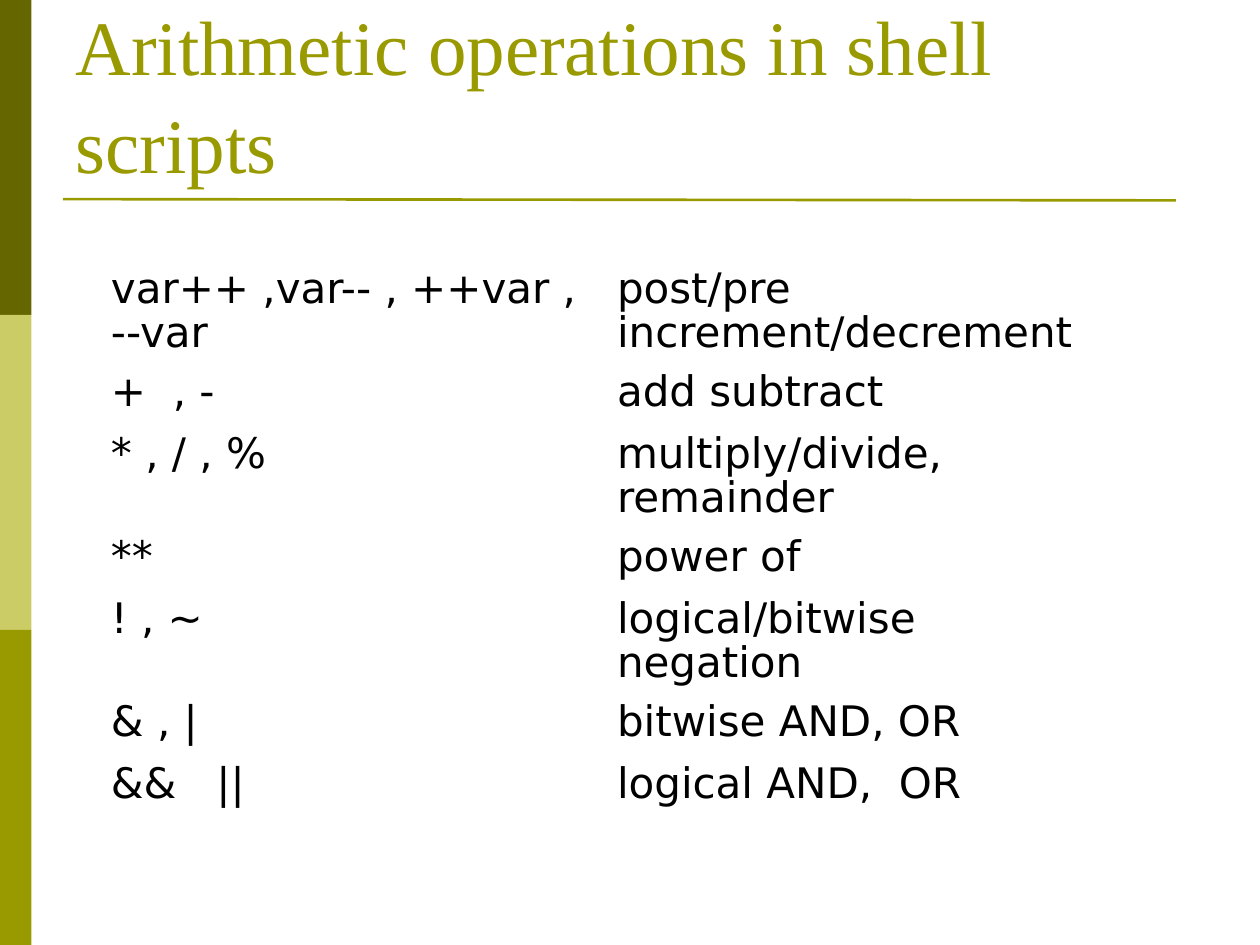
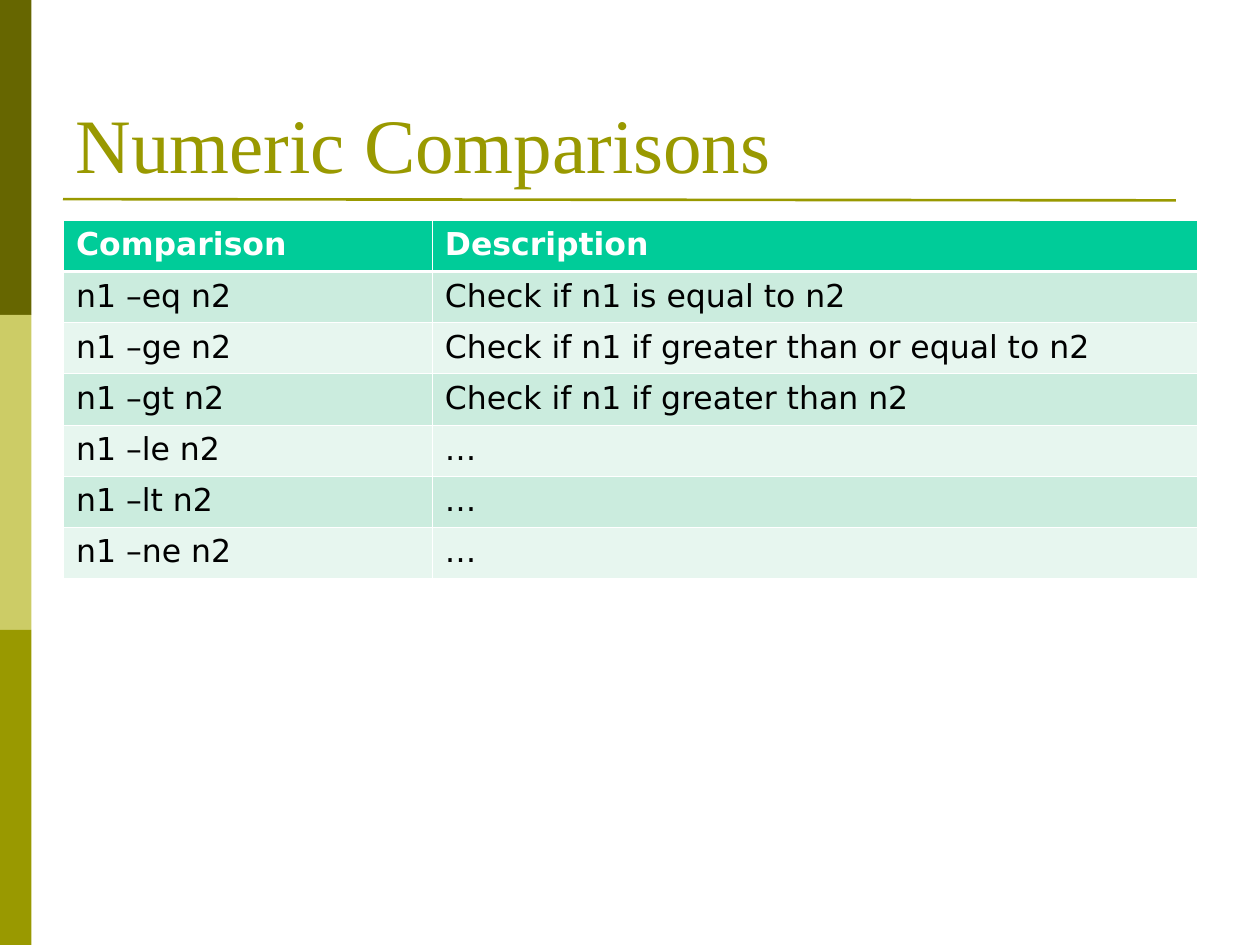
from lxml import etree
from pptx import Presentation
from pptx.dml.color import RGBColor
from pptx.enum import shapes, text
from pptx.oxml import ns
from pptx.util import Pt

OLIVE = RGBColor(0x99, 0x99, 0x00)
DARK_OLIVE = RGBColor(0x66, 0x66, 0x00)
LIGHT_OLIVE = RGBColor(0xCC, 0xCC, 0x66)
GREEN = RGBColor(0x00, 0xCC, 0x99)
MINT = RGBColor(0xCB, 0xEC, 0xDE)
PALE_MINT = RGBColor(0xE7, 0xF6, 0xEF)
BLACK = RGBColor(0, 0, 0)
WHITE = RGBColor(0xFF, 0xFF, 0xFF)

TITLE_FONT = "Times New Roman"
BODY_FONT = "DejaVu Sans"
BAND_WIDTH, BAND_HEIGHT = 18, 180
LINE_HEIGHT, ROW_PADDING = 23.7, 11.6
THIN, THICK = 0.45, 1.47

OPERATIONS = [
    ("var++ ,var-- , ++var , --var", "post/pre increment/decrement", 2),
    ("+  , -", "add subtract", 1),
    ("* , / , %", "multiply/divide, remainder", 2),
    ("**", "power of", 1),
    ("! , ~", "logical/bitwise negation", 2),
    ("& , |", "bitwise AND, OR", 1),
    ("&&   ||", "logical AND,  OR", 1),
]
COMPARISONS = [
    ("Comparison", "Description"),
    ("n1 –eq n2", "Check if n1 is equal to n2"),
    ("n1 –ge n2", "Check if n1 if greater than or equal to n2"),
    ("n1 –gt n2", "Check if n1 if greater than n2"),
    ("n1 –le n2", "…"),
    ("n1 –lt n2", "…"),
    ("n1 –ne n2", "…"),
]


def add_run(paragraph, content, font_name, size, color, bold=False):
    run = paragraph.add_run()
    run.text = content
    run.font.name = font_name
    run.font.size = Pt(size)
    run.font.color.rgb = color
    run.font.bold = bold


def add_side_bands(slide):
    for index, color in enumerate((DARK_OLIVE, LIGHT_OLIVE, OLIVE)):
        band = slide.shapes.add_shape(
            shapes.MSO_SHAPE.RECTANGLE, 0, Pt(index * BAND_HEIGHT),
            Pt(BAND_WIDTH), Pt(BAND_HEIGHT))
        band.shadow.inherit = False
        band.fill.solid()
        band.fill.fore_color.rgb = color
        band.line.fill.background()


def add_title_rule(slide):
    rule = slide.shapes.add_connector(
        shapes.MSO_CONNECTOR.STRAIGHT, Pt(36), Pt(113.8), Pt(672), Pt(114.5))
    rule.line.color.rgb = OLIVE
    rule.line.width = Pt(1.5)
    etree.SubElement(rule._element.spPr, ns.qn("a:effectLst"))


def format_title(title, content):
    title.left, title.top = Pt(36), Pt(-1.4)
    title.width, title.height = Pt(648), Pt(113)
    frame = title.text_frame
    frame.word_wrap = True
    frame.auto_size = text.MSO_AUTO_SIZE.NONE
    frame.vertical_anchor = text.MSO_ANCHOR.BOTTOM
    paragraph = frame.paragraphs[0]
    paragraph.alignment = text.PP_ALIGN.LEFT
    paragraph.line_spacing = 1.06
    add_run(paragraph, content, TITLE_FONT, 44, OLIVE)


def add_titled_slide(presentation, content):
    slide = presentation.slides.add_slide(presentation.slide_layouts[5])
    add_side_bands(slide)
    add_title_rule(slide)
    format_title(slide.shapes.title, content)
    return slide


def add_plain_table(slide, left, top, column_widths, row_heights):
    table = slide.shapes.add_table(
        len(row_heights), len(column_widths), Pt(left), Pt(top),
        Pt(sum(column_widths)), Pt(sum(row_heights))).table
    table.first_row = False
    table.horz_banding = False
    for column, width in zip(table.columns, column_widths):
        column.width = Pt(width)
    for row, height in zip(table.rows, row_heights):
        row.height = Pt(height)
    return table


def set_cell_borders(cell, left, right, top, bottom):
    properties = cell._tc.get_or_add_tcPr()
    widths = {"a:lnL": left, "a:lnR": right, "a:lnT": top, "a:lnB": bottom}
    for index, (tag, width) in enumerate(widths.items()):
        border = etree.Element(ns.qn(tag), w=str(Pt(width)))
        fill = etree.SubElement(border, ns.qn("a:solidFill"))
        etree.SubElement(fill, ns.qn("a:srgbClr"), val=str(WHITE))
        properties.insert(index, border)


def add_operations_table(slide):
    heights = [ROW_PADDING + LINE_HEIGHT * lines for _, _, lines in OPERATIONS]
    table = add_plain_table(slide, 56.2, 149.8, (289.2, 289.2), heights)
    for row, (operators, meaning, _) in zip(table.rows, OPERATIONS):
        for cell, content in zip(row.cells, (operators, meaning)):
            cell.fill.background()
            paragraph = cell.text_frame.paragraphs[0]
            paragraph.line_spacing = 0.9
            add_run(paragraph, content, BODY_FONT, 24, BLACK)


def add_comparisons_table(slide):
    heights = [29.2] * len(COMPARISONS)
    table = add_plain_table(slide, 36.3, 126, (210.7, 437), heights)
    table.first_row = True
    for index, (row, contents) in enumerate(zip(table.rows, COMPARISONS)):
        header = index == 0
        fill_color = GREEN if header else (PALE_MINT, MINT)[index % 2]
        text_color = WHITE if header else BLACK
        top = THICK if index == 1 else THIN
        bottom = THICK if header else THIN
        for cell, content in zip(row.cells, contents):
            cell.fill.solid()
            cell.fill.fore_color.rgb = fill_color
            set_cell_borders(cell, THIN, THIN, top, bottom)
            add_run(cell.text_frame.paragraphs[0], content, BODY_FONT, 18,
                    text_color, header)


def main():
    presentation = Presentation()
    presentation.slide_width, presentation.slide_height = Pt(720), Pt(540)
    add_operations_table(
        add_titled_slide(presentation, "Arithmetic operations in shell scripts"))
    add_comparisons_table(
        add_titled_slide(presentation, "Numeric Comparisons"))
    presentation.save("out.pptx")


if __name__ == "__main__":
    main()
